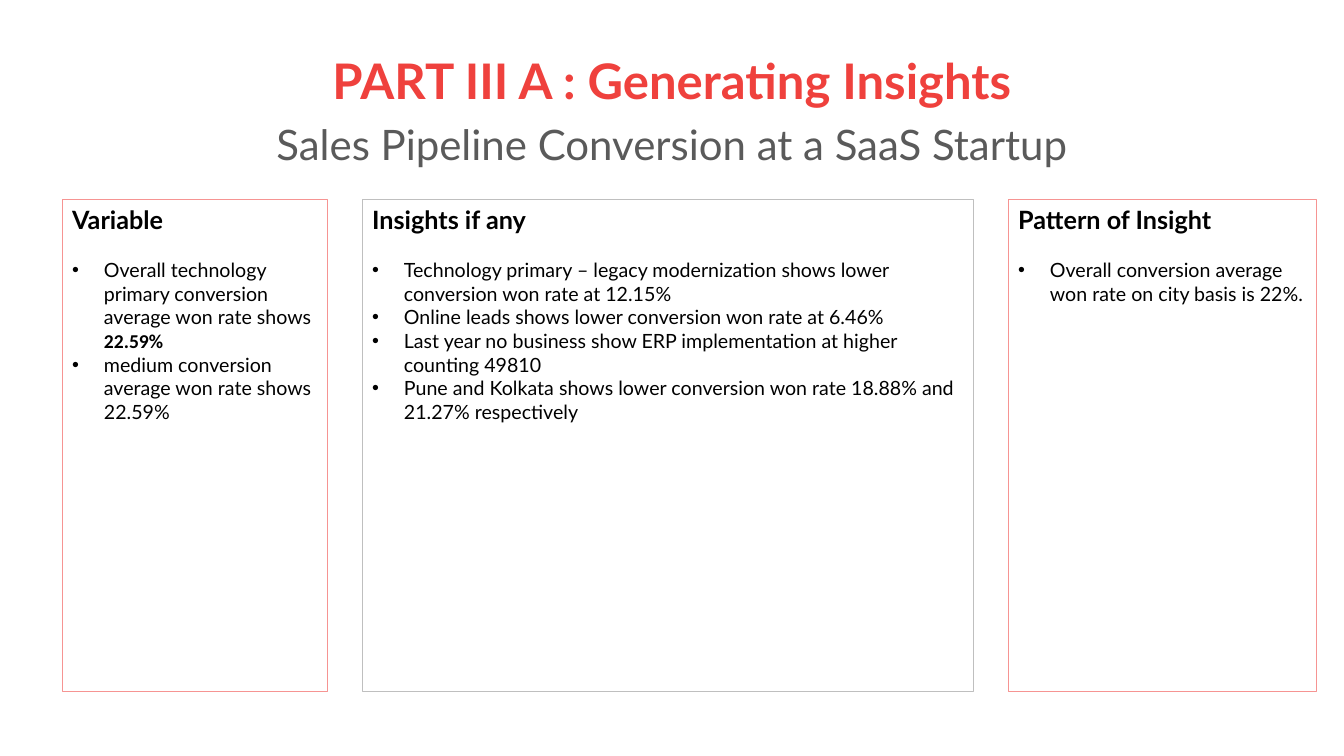
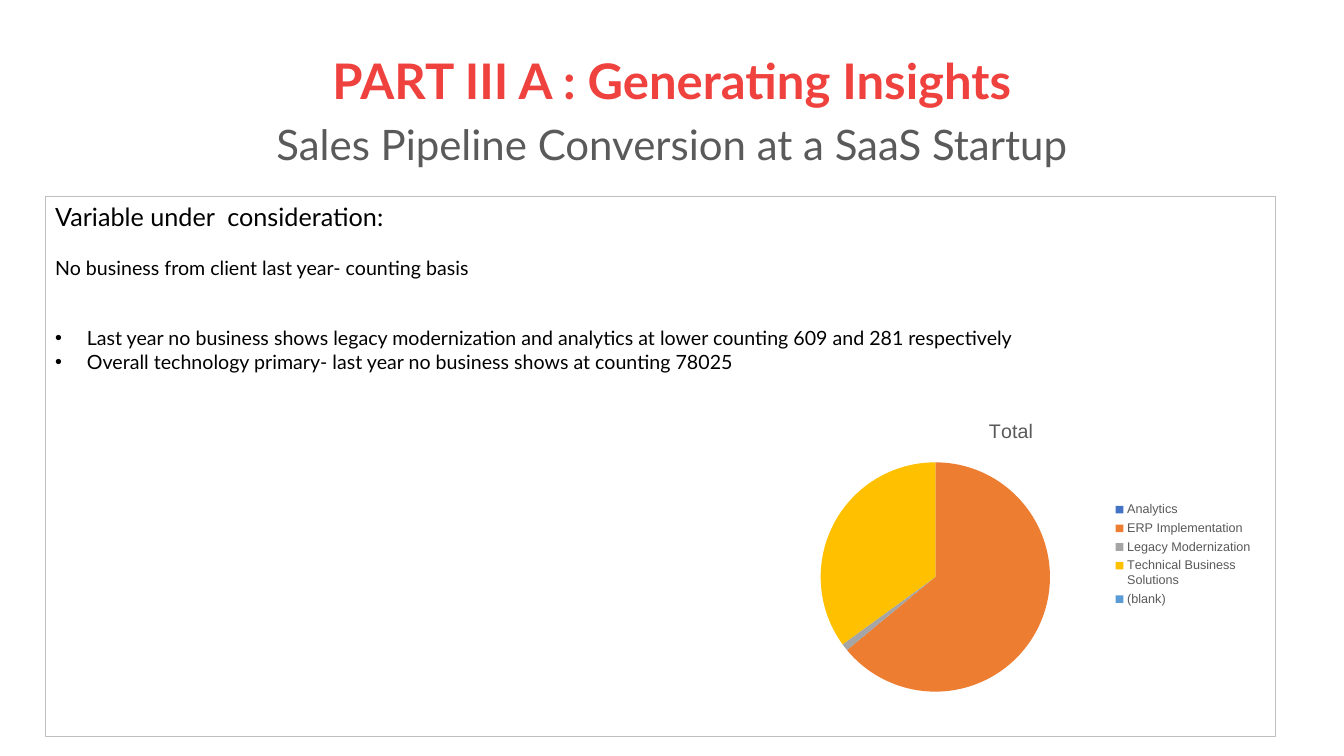
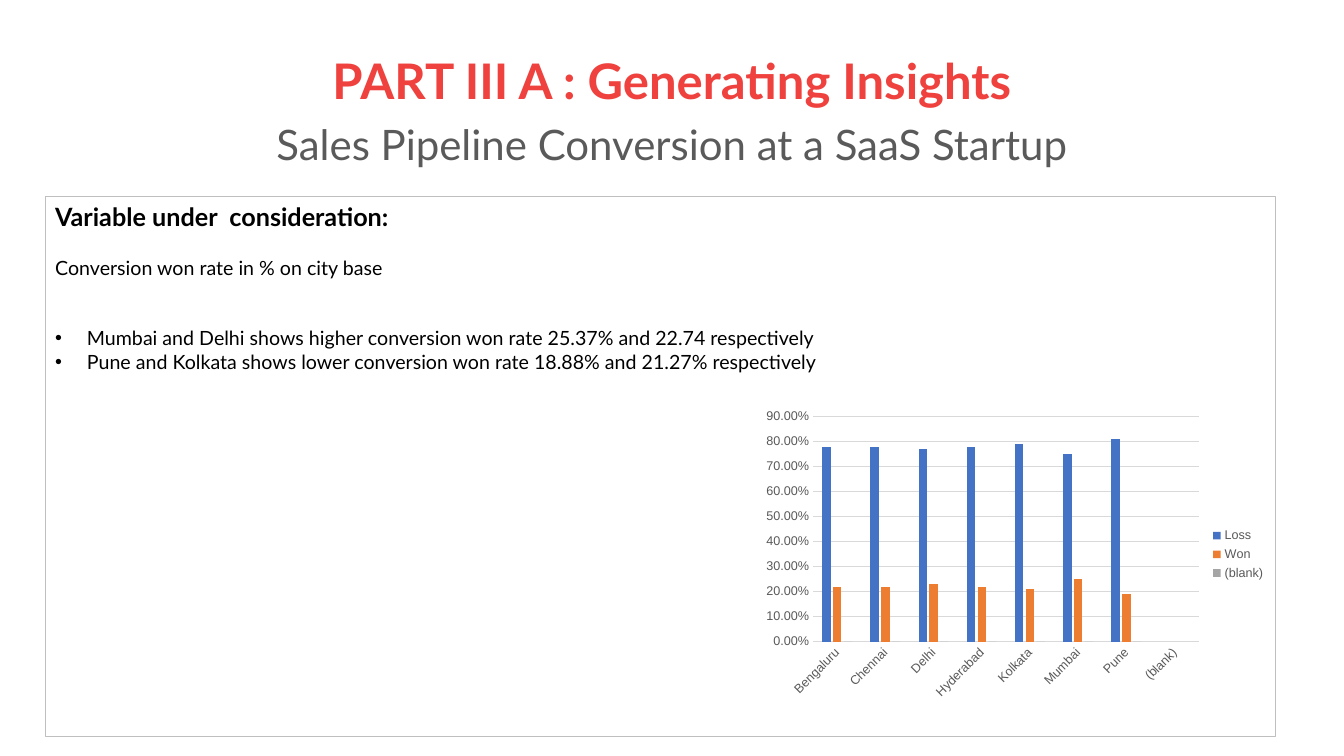
from lxml import etree
from pptx import Presentation
from pptx.chart.data import CategoryChartData
from pptx.dml.color import RGBColor
from pptx.enum.chart import XL_CHART_TYPE, XL_LEGEND_POSITION, XL_TICK_MARK
from pptx.enum.shapes import MSO_SHAPE
from pptx.enum.text import MSO_ANCHOR, MSO_AUTO_SIZE, PP_ALIGN
from pptx.oxml.ns import qn
from pptx.util import Cm, Pt

RED, GREY, BLACK = "EF413D", "5A5A5A", "000000"
PINK, SILVER = "F69492", "BFBFBF"
CHART_TEXT, GRID = "595959", "D9D9D9"
SERIES = ["4472C4", "ED7D31", "A5A5A5", "FFC000", "5B9BD5"]
FONT, CHART_FONT = "Lato", "Arial"
LINE = 16.8

TITLE = [
    ("PART III A : Generating Insights", 35, RED, True),
    ("Sales Pipeline Conversion at a SaaS Startup", 30, GREY, False),
]
TITLE_BOX = (2.33, 1.02, 29.21, 3.68)
TITLE_GAP = 10.5

COLUMNS = [
    (6.68, PINK, "Variable", [
        [("Overall technology primary conversion average won rate shows ", FONT, False),
         ("22.59%", "Calibri", True)],
        "medium conversion average won rate shows 22.59%",
    ]),
    (15.4, SILVER, "Insights if any", [
        "Technology primary – legacy modernization shows lower conversion won rate at 12.15%",
        "Online leads shows lower conversion won rate at 6.46%",
        "Last year no business show ERP implementation at higher counting 49810",
        "Pune and Kolkata shows lower conversion won rate 18.88% and 21.27% respectively",
    ]),
    (7.76, PINK, "Pattern of Insight", [
        "Overall conversion average won rate on city basis is 22%.",
    ]),
]
COLUMN_LEFT, COLUMN_TOP, COLUMN_HEIGHT, COLUMN_GAP = 1.57, 5.03, 12.4, 0.88

FRAME = (1.14, 4.96, 31.01, 13.6)
FRAME_HEADING = "Variable under  consideration:"
CHART_SLIDES = [
    {
        "bold": False,
        "topic": "No business from client last year- counting basis",
        "bullets": [
            "Last year no business shows legacy modernization and analytics at lower counting 609 and 281 respectively",
            "Overall technology primary- last year no business shows at counting 78025",
        ],
        "type": XL_CHART_TYPE.PIE,
        "at": (19.13, 10.16, 12.7, 7.62),
        "categories": ["Analytics", "ERP Implementation", "Legacy Modernization",
                       "Technical Business Solutions", "(blank)"],
        "series": [("Total", [0, 64, 1, 35, None])],
    },
    {
        "bold": True,
        "topic": "Conversion won rate in % on city base",
        "bullets": [
            "Mumbai and Delhi shows higher conversion won rate 25.37% and 22.74 respectively",
            "Pune and Kolkata shows lower conversion won rate 18.88% and 21.27% respectively",
        ],
        "type": XL_CHART_TYPE.COLUMN_CLUSTERED,
        "at": (19.05, 10.16, 13.1, 7.62),
        "categories": ["Bengaluru", "Chennai", "Delhi", "Hyderabad",
                       "Kolkata", "Mumbai", "Pune", "(blank)"],
        "series": [
            ("Loss", [0.78, 0.78, 0.77, 0.78, 0.79, 0.75, 0.81, None]),
            ("Won", [0.22, 0.22, 0.23, 0.22, 0.21, 0.25, 0.19, None]),
            ("(blank)", [0, 0, 0, 0, 0, 0, 0, None]),
        ],
    },
]


def rgb(value):
    return RGBColor.from_string(value)


def lengths(box):
    return [Cm(v) for v in box]


def style(font, size, color, bold=False, name=FONT):
    font.size, font.bold, font.name = Pt(size), bold, name
    font.color.rgb = rgb(color)


def add_run(p, text, size, color=BLACK, bold=False, name=FONT):
    r = p.add_run()
    r.text = text
    style(r.font, size, color, bold, name)


def next_paragraph(tf):
    return tf.add_paragraph() if tf.paragraphs[0].runs else tf.paragraphs[0]


def add_bullet(p):
    pPr = p._p.get_or_add_pPr()
    pPr.set("marL", str(Cm(0.8)))
    pPr.set("indent", str(-Cm(0.8)))
    color = etree.SubElement(pPr, qn("a:buClr"))
    etree.SubElement(color, qn("a:srgbClr"), val=BLACK)
    etree.SubElement(pPr, qn("a:buFont"), typeface=CHART_FONT)
    etree.SubElement(pPr, qn("a:buChar"), char="•")


def new_slide(prs):
    s = prs.slides.add_slide(prs.slide_layouts[5])
    sp = s.shapes.title
    sp.left, sp.top, sp.width, sp.height = lengths(TITLE_BOX)
    tf = sp.text_frame
    tf.word_wrap = True
    tf.auto_size = MSO_AUTO_SIZE.NONE
    tf.vertical_anchor = MSO_ANCHOR.MIDDLE
    for i, line in enumerate(TITLE):
        p = next_paragraph(tf)
        p.alignment = PP_ALIGN.CENTER
        p.line_spacing = 0.9
        p.space_before = Pt(TITLE_GAP * i)
        add_run(p, *line)
    return s


def add_panel(s, box, line, heading, bold, bullets, topic=None):
    sp = s.shapes.add_shape(MSO_SHAPE.RECTANGLE, *lengths(box))
    sp.shadow.inherit = False
    sp.fill.background()
    sp.line.color.rgb = rgb(line)
    sp.line.width = Pt(0.75)
    tf = sp.text_frame
    tf.word_wrap = True
    tf.vertical_anchor = MSO_ANCHOR.TOP
    add_run(next_paragraph(tf), heading, 18, bold=bold)
    if topic:
        p = next_paragraph(tf)
        p.space_before = Pt(LINE)
        add_run(p, topic, 14)
    for i, bullet in enumerate(bullets):
        p = next_paragraph(tf)
        if i == 0:
            p.space_before = Pt(LINE * (2 if topic else 1))
        add_bullet(p)
        runs = [(bullet, FONT, False)] if isinstance(bullet, str) else bullet
        for text, name, strong in runs:
            add_run(p, text, 14, bold=strong, name=name)
    for p in tf.paragraphs:
        p.alignment = PP_ALIGN.LEFT


def format_pie(chart):
    chart.has_title = True
    p = chart.chart_title.text_frame.paragraphs[0]
    add_run(p, "Total", 14, CHART_TEXT, name=CHART_FONT)
    chart.plots[0].vary_by_categories = True
    for i, color in enumerate(SERIES):
        fill = chart.series[0].points[i].format.fill
        fill.solid()
        fill.fore_color.rgb = rgb(color)


def format_columns(chart):
    chart.has_title = False
    plot = chart.plots[0]
    plot.vary_by_categories = False
    plot.gap_width, plot.overlap = 219, -27
    for series, color in zip(chart.series, SERIES):
        series.format.fill.solid()
        series.format.fill.fore_color.rgb = rgb(color)
    cat, val = chart.category_axis, chart.value_axis
    for axis in (cat, val):
        axis.major_tick_mark = axis.minor_tick_mark = XL_TICK_MARK.NONE
        style(axis.tick_labels.font, 9, CHART_TEXT, name=CHART_FONT)
    val.minimum_scale, val.maximum_scale, val.major_unit = 0, 0.9, 0.1
    val.tick_labels.number_format = "0.00%"
    val.tick_labels.number_format_is_linked = False
    val.format.line.fill.background()
    val.has_major_gridlines = True
    for line in (cat.format.line, val.major_gridlines.format.line):
        line.color.rgb = rgb(GRID)
        line.width = Pt(0.75)
    cat._element.find(qn("c:txPr")).find(qn("a:bodyPr")).set("rot", "-2700000")


def add_data_chart(s, item):
    data = CategoryChartData()
    data.categories = item["categories"]
    for name, values in item["series"]:
        data.add_series(name, values)
    chart = s.shapes.add_chart(item["type"], *lengths(item["at"]), data).chart
    style(chart.font, 10, BLACK, name=CHART_FONT)
    chart.has_legend = True
    chart.legend.position = XL_LEGEND_POSITION.RIGHT
    chart.legend.include_in_layout = False
    style(chart.legend.font, 9, CHART_TEXT, name=CHART_FONT)
    if item["type"] == XL_CHART_TYPE.PIE:
        format_pie(chart)
    else:
        format_columns(chart)


def main():
    prs = Presentation()
    prs.slide_width, prs.slide_height = Cm(33.87), Cm(19.05)

    s = new_slide(prs)
    left = COLUMN_LEFT
    for width, line, heading, bullets in COLUMNS:
        box = (left, COLUMN_TOP, width, COLUMN_HEIGHT)
        add_panel(s, box, line, heading, True, bullets)
        left += width + COLUMN_GAP

    for item in CHART_SLIDES:
        s = new_slide(prs)
        add_panel(s, FRAME, SILVER, FRAME_HEADING, item["bold"],
                  item["bullets"], item["topic"])
        add_data_chart(s, item)

    prs.save("out.pptx")


if __name__ == "__main__":
    main()
